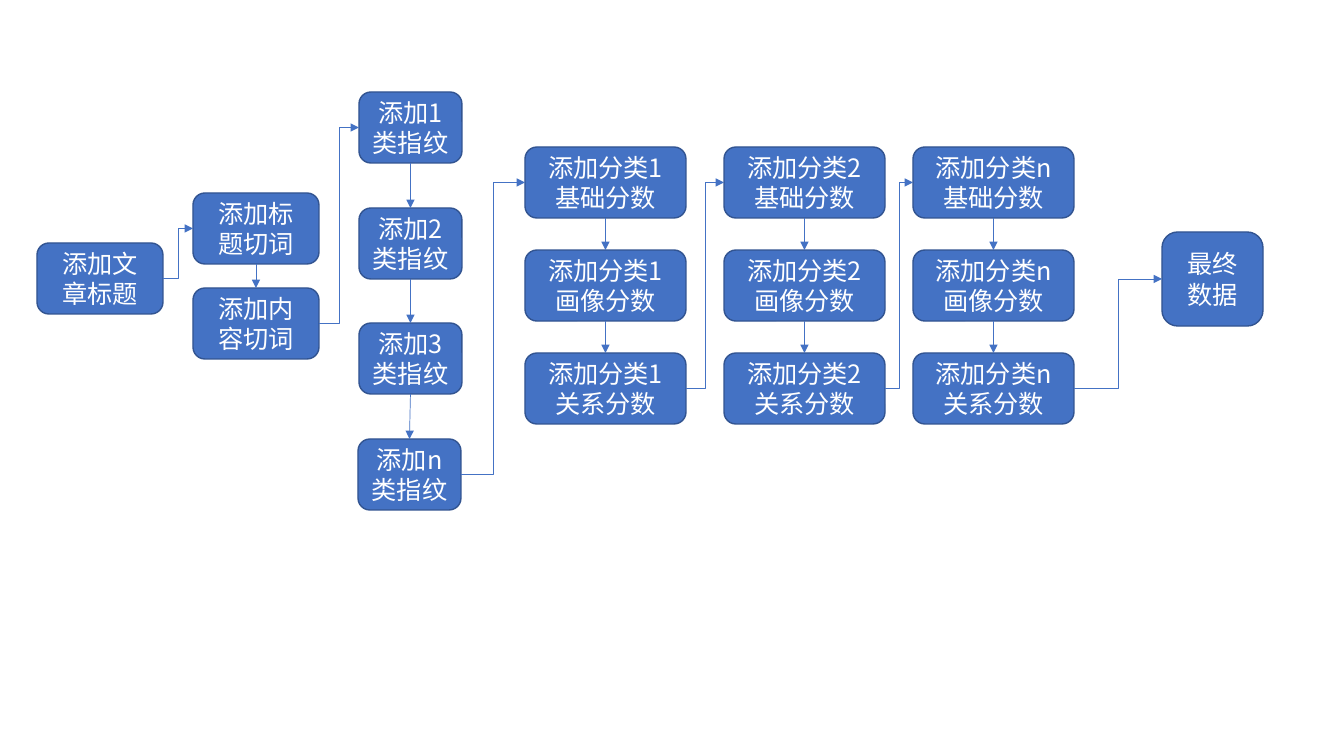
from lxml.etree import SubElement
from pptx import Presentation
from pptx.dml.color import RGBColor
from pptx.enum.lang import MSO_LANGUAGE_ID as Language
from pptx.enum.shapes import MSO_CONNECTOR as Connector, MSO_SHAPE as Shape
from pptx.enum.text import MSO_ANCHOR as Anchor, PP_ALIGN as Align
from pptx.oxml.ns import qn
from pptx.util import Emu, Pt

BLUE = RGBColor(0x44, 0x72, 0xC4)
DARK_BLUE = RGBColor(0x32, 0x54, 0x91)
WHITE = RGBColor(0xFF, 0xFF, 0xFF)
FONT = "Noto Sans CJK SC"
FONT_FORMAT = {"name": FONT, "size": Pt(18), "language_id": Language.SIMPLIFIED_CHINESE}
SCALE = 914400 / 100.8
TOP, LEFT, BOTTOM, RIGHT = range(4)


def pixels(*lengths):
    return [Emu(round(length * SCALE)) for length in lengths]


def connect(start, start_site, end, end_site, kind):
    connector = slide.shapes.add_connector(kind, 0, 0, 0, 0)
    connector.begin_connect(start, start_site)
    connector.end_connect(end, end_site)
    connector.line.color.rgb = BLUE
    connector.line.width = Pt(0.5)
    SubElement(connector.line._get_or_add_ln(), qn("a:tailEnd"), type="triangle")
    SubElement(connector._element.spPr, qn("a:effectLst"))


presentation = Presentation()
presentation.slide_width, presentation.slide_height = pixels(1344, 756)
slide = presentation.slides.add_slide(presentation.slide_layouts[6])

BOX_HEIGHT = 71
stages = [
    [("添加文章标题", 37, 243, 126, BOX_HEIGHT)],
    [("添加标题切词", 193, 193, 126, BOX_HEIGHT), ("添加内容切词", 193, 288, 126, BOX_HEIGHT)],
    [
        (f"添加{label}类指纹", left, top, 103, BOX_HEIGHT)
        for label, left, top in [("1", 359, 92), ("2", 359, 208), ("3", 359, 323), ("n", 358, 439)]
    ],
]
for category, left in [("1", 525), ("2", 724), ("n", 913)]:
    stages.append([
        (f"添加分类{category}{score}分数", left, 147 + 103 * row, 161, BOX_HEIGHT)
        for row, score in enumerate(["基础", "画像", "关系"])
    ])
stages.append([("最终数据", 1162, 232, 101, 94)])

previous_stage_end = None
for stage in stages:
    previous_box = None
    for text, *bounds in stage:
        box = slide.shapes.add_shape(Shape.ROUNDED_RECTANGLE, *pixels(*bounds))
        box.shadow.inherit = False
        box.fill.solid()
        box.fill.fore_color.rgb = BLUE
        box.line.color.rgb = DARK_BLUE
        box.line.width = Pt(1)
        box.text_frame.word_wrap = True
        box.text_frame.vertical_anchor = Anchor.MIDDLE
        paragraph = box.text_frame.paragraphs[0]
        paragraph.alignment = Align.CENTER
        run = paragraph.add_run()
        run.text = text
        for attribute, value in FONT_FORMAT.items():
            setattr(run.font, attribute, value)
        run.font.color.rgb = WHITE
        SubElement(run._r.get_or_add_rPr(), qn("a:ea"), typeface=FONT)

        if previous_box is not None:
            connect(previous_box, BOTTOM, box, TOP, Connector.STRAIGHT)
        elif previous_stage_end is not None:
            connect(previous_stage_end, RIGHT, box, LEFT, Connector.ELBOW)
        previous_box = box
    previous_stage_end = previous_box

presentation.save("out.pptx")
